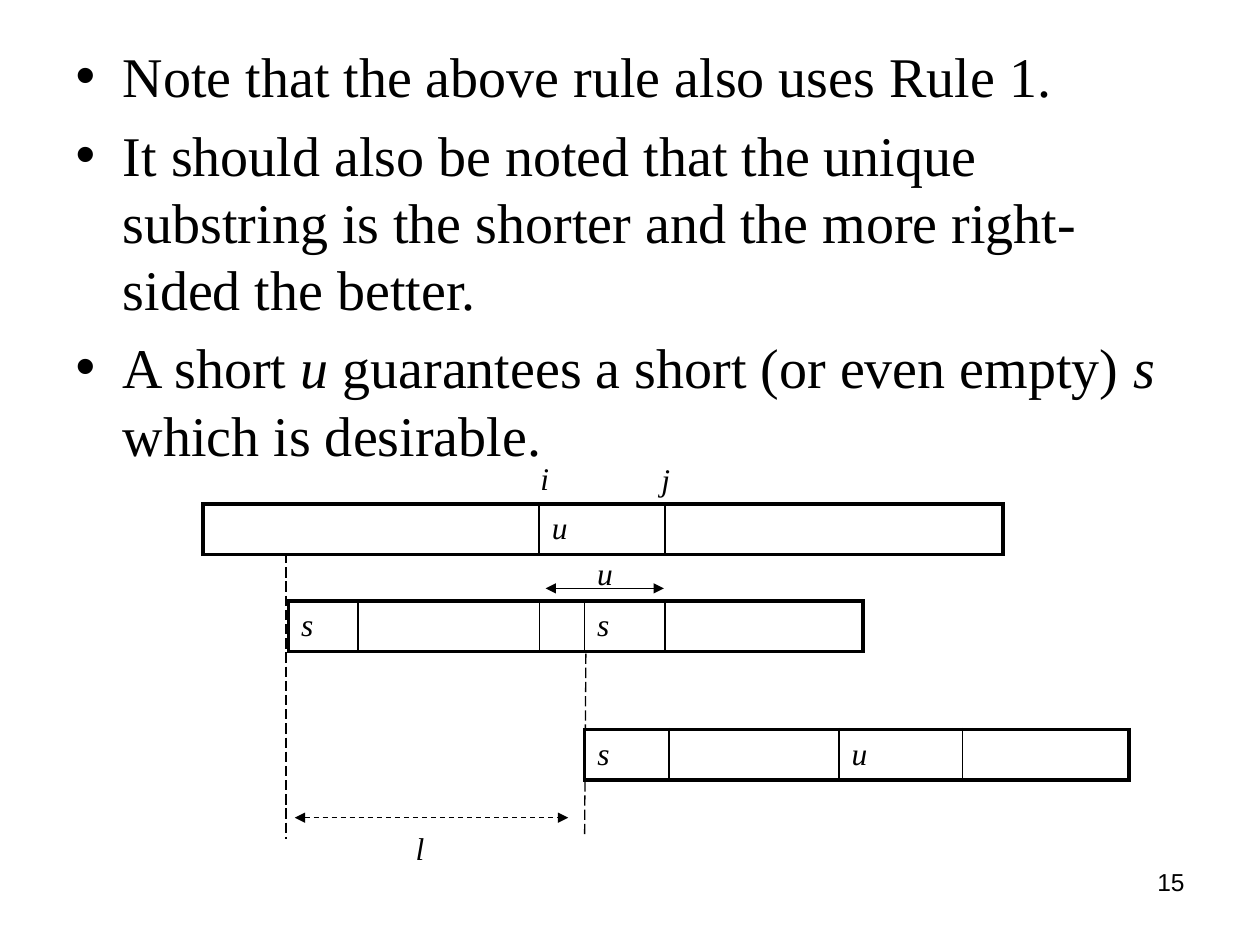
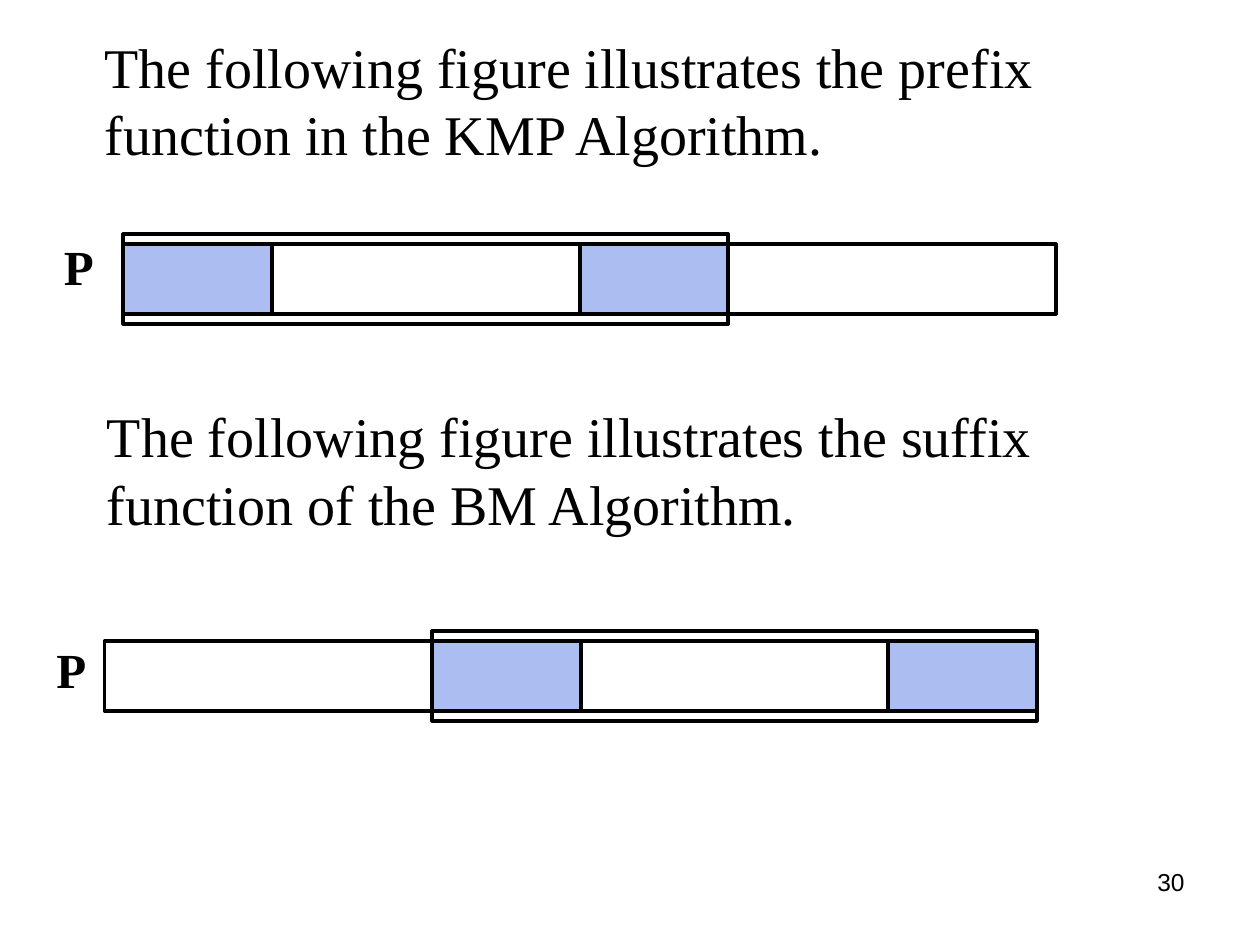
import pptx
import pptx.dml.color
import pptx.enum.dml
import pptx.enum.shapes
import pptx.enum.text
import pptx.oxml
import pptx.oxml.ns
import pptx.util
from lxml import etree

Inches, Pt = pptx.util.Inches, pptx.util.Pt
colour = pptx.dml.color.RGBColor.from_string
INK, MATCH_FILL = "000000", "ACBDF2"
SERIF = "Times New Roman"
BODY = {"name": SERIF, "size": Pt(32)}
SYMBOL = {"name": SERIF, "size": Pt(18), "italic": True}
PATTERN = {"name": SERIF, "size": Pt(28), "bold": True}
PAGE = {"name": "Arial", "size": Pt(14)}


def write(paragraph, text, font_format):
    """Fill a paragraph; parts between asterisks become italic."""
    for number, part in enumerate(text.split("*")):
        run = paragraph.add_run()
        run.text = part
        for attribute, value in font_format.items():
            setattr(run.font, attribute, value)
        run.font.color.rgb = colour(INK)
        if number % 2:
            run.font.italic = True


def add_label(slide, text, box, font_format, before=0, wrap=True):
    frame = slide.shapes.add_textbox(*map(Inches, box)).text_frame
    frame.word_wrap = wrap
    paragraph = frame.paragraphs[0]
    paragraph.space_before = Pt(before)
    write(paragraph, text, font_format)
    return paragraph


presentation = pptx.Presentation()
presentation.slide_width, presentation.slide_height = Inches(10), Inches(7.5)

# Shared parts: body text and page number
pages = [
    ("15", (0.5, 0.28, 9, 6.41), [
        "Note that the above rule also uses Rule 1.",
        "It should also be noted that the unique substring is the shorter "
        "and the more right-sided the better.",
        "A short *u* guarantees a short (or even empty) *s* which is desirable.",
    ]),
    ("30", (0.35, 0.21, 9, 1.65), [
        "The following figure illustrates the prefix function in the KMP Algorithm.",
    ]),
]
for page_number, body_box, sentences in pages:
    slide = presentation.slides.add_slide(presentation.slide_layouts[1])
    title = slide.shapes.title.element
    title.getparent().remove(title)
    body = slide.placeholders[1]
    body.left, body.top, body.width, body.height = map(Inches, body_box)
    body.text_frame.auto_size = pptx.enum.text.MSO_AUTO_SIZE.NONE
    for number, sentence in enumerate(sentences):
        paragraph = (body.text_frame.add_paragraph() if number
                     else body.text_frame.paragraphs[0])
        write(paragraph, sentence, BODY)
    number_line = add_label(slide, page_number, (7.17, 6.83, 2.33, 0.52), PAGE)
    number_line.alignment = pptx.enum.text.PP_ALIGN.RIGHT

rule_slide, function_slide = presentation.slides

# The prefix sentence is indented without a bullet
properties = function_slide.placeholders[1].text_frame.paragraphs[0]._p.get_or_add_pPr()
properties.set("marL", str(Inches(0.38)))
properties.set("indent", "0")
etree.SubElement(properties, pptx.oxml.ns.qn("a:buNone"))

# Text and two pattern positions as rows of segments
strings = [
    (1.61, 4, [(2.67, ""), (1, "u"), (2.68, "")]),
    (2.29, 4.77, [(0.55, "s"), (1.44, ""), (0.36, ""), (0.64, "s"), (1.57, "")]),
    (4.64, 5.79, [(0.67, "s"), (1.35, ""), (0.98, "u"), (1.32, "")]),
]
for left, top, segments in strings:
    total = sum(width for width, _ in segments)
    table = rule_slide.shapes.add_table(
        1, len(segments), *map(Inches, (left, top, total, 0.4))).table
    table.first_row = table.horz_banding = False
    for number, (width, symbol) in enumerate(segments):
        table.columns[number].width = Inches(width)
        cell = table.cell(0, number)
        cell.margin_top = cell.margin_bottom = Inches(0.04)
        cell.vertical_anchor = pptx.enum.text.MSO_ANCHOR.MIDDLE
        if symbol:
            write(cell.text_frame.paragraphs[0], symbol, SYMBOL)
        borders = {
            "L": 1 if number else 2.25,
            "R": 1 if number < len(segments) - 1 else 2.25,
            "T": 2.25,
            "B": 2.25,
        }
        for side, points in borders.items():
            cell._tc.get_or_add_tcPr().append(pptx.oxml.parse_xml(
                f'<a:ln{side} {pptx.oxml.ns.nsdecls("a")} w="{Pt(points)}">'
                f'<a:solidFill><a:srgbClr val="{INK}"/></a:solidFill></a:ln{side}>'))
        cell.fill.background()

for symbol, left, top in [("i", 4.19, 3.59), ("j", 5.15, 3.6),
                          ("l", 3.2, 6.53), ("u", 4.64, 4.35)]:
    add_label(rule_slide, symbol, (left, top, 0.29, 0.4), SYMBOL, before=2)

# Shift guides and measuring arrows
LINE_DASH = pptx.enum.dml.MSO_LINE
guides = [
    ((2.27, 4.39, 2.27, 6.66), LINE_DASH.LONG_DASH, False),
    ((4.64, 6.62, 4.65, 5.17), LINE_DASH.LONG_DASH, False),
    ((2.34, 6.49, 4.51, 6.49), LINE_DASH.DASH, True),
    ((4.33, 4.67, 5.27, 4.67), LINE_DASH.SOLID, True),
]
for ends, dash, has_arrows in guides:
    guide = rule_slide.shapes.add_connector(
        pptx.enum.shapes.MSO_CONNECTOR.STRAIGHT, *map(Inches, ends))
    guide.line.color.rgb = colour(INK)
    guide.line.width = Pt(0.75)
    guide.line.dash_style = dash
    if has_arrows:
        for end in ("a:headEnd", "a:tailEnd"):
            etree.SubElement(guide.line._get_or_add_ln(),
                             pptx.oxml.ns.qn(end), type="triangle")
    etree.SubElement(guide._element.spPr, pptx.oxml.ns.qn("a:effectLst"))

# Prefix and suffix figures: pattern, framed part, matching ends
BAR_WIDTH, BAR_HEIGHT = 7.4, 0.55
FRAME_WIDTH, FRAME_MARGIN, MATCH_WIDTH = 4.8, 0.08, 1.18
for bar_left, bar_top, frame_left in [(0.98, 1.94, 0.98), (0.83, 5.09, 3.43)]:
    last_match = frame_left + FRAME_WIDTH - MATCH_WIDTH
    parts = [
        ((bar_left, bar_top, BAR_WIDTH, BAR_HEIGHT), None),
        ((frame_left, bar_top - FRAME_MARGIN,
          FRAME_WIDTH, BAR_HEIGHT + 2 * FRAME_MARGIN), None),
        ((frame_left, bar_top, MATCH_WIDTH, BAR_HEIGHT), MATCH_FILL),
        ((last_match, bar_top, MATCH_WIDTH, BAR_HEIGHT), MATCH_FILL),
    ]
    for box, fill in parts:
        part = function_slide.shapes.add_shape(
            pptx.enum.shapes.MSO_SHAPE.RECTANGLE, *map(Inches, box))
        part.shadow.inherit = False
        part.line.color.rgb = colour(INK)
        part.line.width = Pt(2.25)
        if fill:
            part.fill.solid()
            part.fill.fore_color.rgb = colour(fill)
        else:
            part.fill.background()

add_label(function_slide,
          "The following figure illustrates the suffix function of the BM Algorithm.",
          (0.75, 3.14, 8.49, 1.17), BODY, before=4)
for left, top in [(0.41, 1.83), (0.35, 5.03)]:
    add_label(function_slide, "P", (left, top, 0.44, 0.57), PATTERN, wrap=False)

presentation.save("out.pptx")
